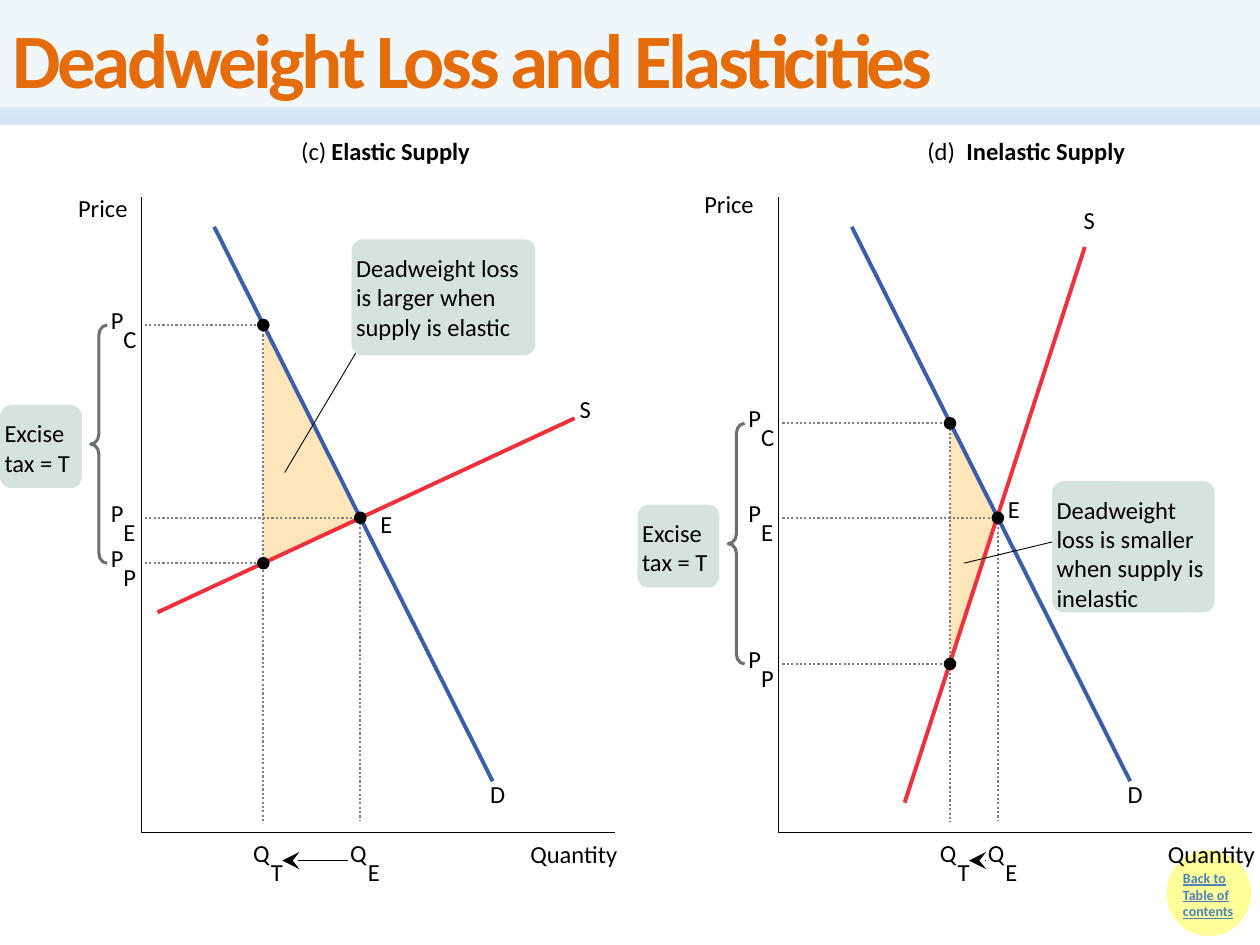
from lxml import etree
from pptx import Presentation
from pptx import util as u
from pptx.dml.color import RGBColor
from pptx.enum import dml, shapes, text
from pptx.oxml.ns import qn

THEME = {
    "font": "Calibri",
    "title_size": 44, "body_size": 14, "link_size": 8,
    "ink": "000000", "title": "E46C0A", "bar": "DBEEF4", "rule": "C6D9F1",
    "badge": "FFFF99", "link": "4F81BD", "guide": "808080", "loss": "FFE5B9",
    "brace": "6D6F71", "supply": "EE313C", "demand": "3C5DAA", "note": "D6E2E0",
}
TITLE = "Deadweight Loss and Elasticities"
LINK = "Back to Table of contents"
TAX = "Excise tax = T"
BALANCE = (2.86, 4.11)
DEMAND = ((1.7, 1.8), (3.91, 6.2))
PANELS = [
    {
        "shift": 0, "tag": ("(c)", 2.39), "name": ("Elastic Supply", 2.63),
        "price": (0.62, 1.53), "supply": ((1.25, 4.86), (4.56, 3.32)),
        "tax_x": 2.09, "consumer": 2.58, "producer": 4.47,
        "s": (4.6, 3.13), "e": (3.02, 4.04),
        "note": "Deadweight loss is larger when supply is elastic",
        "note_box": (2.79, 1.9, 1.46, 0.92), "pointer": ((2.89, 2.69), (2.26, 3.75)),
    },
    {
        "shift": 5.06, "tag": ("(d)", 2.3), "name": ("Inelastic Supply", 2.61),
        "price": (0.53, 1.5), "supply": ((2.12, 6.37), (3.55, 1.96)),
        "tax_x": 2.48, "consumer": 3.36, "producer": 5.27,
        "s": (3.54, 1.63), "e": (2.94, 3.92),
        "note": "Deadweight loss is smaller when supply is inelastic",
        "note_box": (3.29, 3.82, 1.29, 1.04), "pointer": ((3.38, 4.28), (2.59, 4.47)),
    },
]

deck = Presentation()
deck.slide_width, deck.slide_height = u.Inches(10), u.Inches(7.5)
page = deck.slides.add_slide(deck.slide_layouts[6])


def paint(fill, color, alpha=None):
    fill.solid()
    fill.fore_color.rgb = RGBColor.from_string(THEME[color])
    if alpha:
        node = fill._xPr.find(qn("a:solidFill"))[0]
        etree.SubElement(node, qn("a:alpha"), val=str(alpha * 1000))


def write(shape, words, size="body_size", color="ink", bold=False):
    span = shape.text_frame.paragraphs[0].add_run()
    span.text = words
    span.font.name = THEME["font"]
    span.font.size = u.Pt(THEME[size])
    span.font.bold = bold
    span.font.color.rgb = RGBColor.from_string(THEME[color])
    return span


def set_insets(frame, left=0, top=0):
    frame.margin_left, frame.margin_top = u.Inches(left), u.Inches(top)
    frame.margin_right = frame.margin_bottom = 0


def add_label(words, left, top, bold=False):
    box = page.shapes.add_textbox(*map(u.Inches, (left, top, 0.1 * len(words), 0.24)))
    box.text_frame.word_wrap = False
    set_insets(box.text_frame)
    write(box, words, bold=bold)


def add_indexed(letter, index, left, top, step):
    add_label(letter, left, top)
    add_label(index, left + step, top + 0.15)


def add_line(start, end, color, width, dash=None, alpha=None, arrow=False):
    line = page.shapes.add_connector(
        shapes.MSO_CONNECTOR.STRAIGHT, *map(u.Inches, (*start, *end)))
    paint(line.line.fill, color, alpha)
    line.line.width = u.Pt(width)
    if dash:
        line.line.dash_style = dash
    if arrow:
        etree.SubElement(line.line._get_or_add_ln(), qn("a:tailEnd"),
                         type="stealth", w="lg", len="lg")
    etree.SubElement(line._element.spPr, qn("a:effectLst"))


def add_block(kind, area, color, alpha=None):
    block = page.shapes.add_shape(kind, *map(u.Inches, area))
    block.shadow.inherit = False
    paint(block.fill, color, alpha)
    block.line.fill.background()
    return block


def add_outline(points, closed):
    builder = page.shapes.build_freeform(
        *map(u.Inches, points[0]), scale=1.0)
    builder.add_line_segments(
        [tuple(map(u.Inches, point)) for point in points[1:]], close=closed)
    outline = builder.convert_to_shape()
    outline.shadow.inherit = False
    return outline


def add_note(words, area):
    box = add_block(shapes.MSO_SHAPE.ROUNDED_RECTANGLE, area, "note")
    box.adjustments[0] = 0.09 / min(area[2:])
    frame = box.text_frame
    frame.word_wrap = True
    frame.vertical_anchor = text.MSO_ANCHOR.TOP
    frame.paragraphs[0].alignment = text.PP_ALIGN.LEFT
    set_insets(frame, 0.01, 0.08)
    write(box, words)


def add_brace(left, top, bottom):
    brace = page.shapes.add_shape(
        shapes.MSO_SHAPE.LEFT_BRACE, *map(u.Inches, (left, top, 0.13, bottom - top)))
    brace.shadow.inherit = False
    brace.adjustments[0] = 0.6
    brace.fill.background()
    paint(brace.line.fill, "brace")
    brace.line.width = u.Pt(1.75)


def add_frame():
    add_line((0, 0.92), (10, 0.92), "rule", 10, alpha=71)
    add_block(shapes.MSO_SHAPE.OVAL, (9.26, 6.75, 0.67, 0.68), "badge")
    link = page.shapes.add_textbox(*map(u.Inches, (9.29, 6.85, 0.72, 0.67)))
    link.text_frame.word_wrap = True
    write(link, LINK, "link_size", "link", True).font.underline = True
    bar = add_block(shapes.MSO_SHAPE.RECTANGLE, (0, 0, 10, 0.92), "bar", 44)
    bar.text_frame.vertical_anchor = text.MSO_ANCHOR.MIDDLE
    bar.text_frame.paragraphs[0].alignment = text.PP_ALIGN.LEFT
    span = write(bar, TITLE, "title_size", "title", True)
    span._r.get_or_add_rPr().set("spc", "-200")


def add_panel(panel):
    def at(x, y):
        return x + panel["shift"], y

    tax_x, high, low = panel["tax_x"], panel["consumer"], panel["producer"]
    balance_x, balance_y = BALANCE
    corners = [(tax_x, high), (tax_x, low), BALANCE]

    loss = add_outline([at(*corner) for corner in corners], True)
    paint(loss.fill, "loss")
    loss.line.fill.background()

    for x, y in corners:
        add_line(at(1.15, y), at(x - 0.03, y), "guide", 1.25, dml.MSO_LINE.ROUND_DOT)
    for x, y in (corners[0], BALANCE):
        add_line(at(x, y + 0.04), at(x, 6.52), "guide", 1.25, dml.MSO_LINE.ROUND_DOT)

    axes = add_outline([at(4.88, 6.61), at(1.12, 6.61), at(1.12, 1.56)], False)
    axes.fill.background()
    paint(axes.line.fill, "ink")
    axes.line.width = u.Pt(0.5)

    for ends, color in ((panel["supply"], "supply"), (DEMAND, "demand")):
        add_line(*(at(*end) for end in ends), color, 2.25)
    for x, y in corners:
        add_block(shapes.MSO_SHAPE.OVAL, (*at(x - 0.05, y - 0.05), 0.1, 0.1), "ink")

    add_line(*(at(*end) for end in panel["pointer"]), "ink", 0.5)
    left, top, width, height = panel["note_box"]
    add_note(panel["note"], (*at(left, top), width, height))
    add_note(TAX, (*at(0, (high + low) / 2 - 0.31), 0.65, 0.66))
    add_brace(*at(0.72, high), low)

    for index, y in (("C", high), ("E", balance_y), ("P", low)):
        add_indexed("P", index, *at(0.88, y - 0.16), 0.1)
    for index, x in (("T", tax_x), ("E", balance_x)):
        add_indexed("Q", index, *at(x - 0.08, 6.65), 0.14)
    add_line(at(balance_x - 0.1, 6.83), at(tax_x + 0.15, 6.83), "ink", 0.88, arrow=True)

    for words, place in (("Price", panel["price"]), ("Quantity", (4.21, 6.66)),
                         ("D", (3.89, 6.18)), ("S", panel["s"]), ("E", panel["e"])):
        add_label(words, *at(*place))
    for key, bold in (("tag", False), ("name", True)):
        words, x = panel[key]
        add_label(words, *at(x, 1.08), bold=bold)


add_frame()
for panel in PANELS:
    add_panel(panel)
deck.save("out.pptx")
